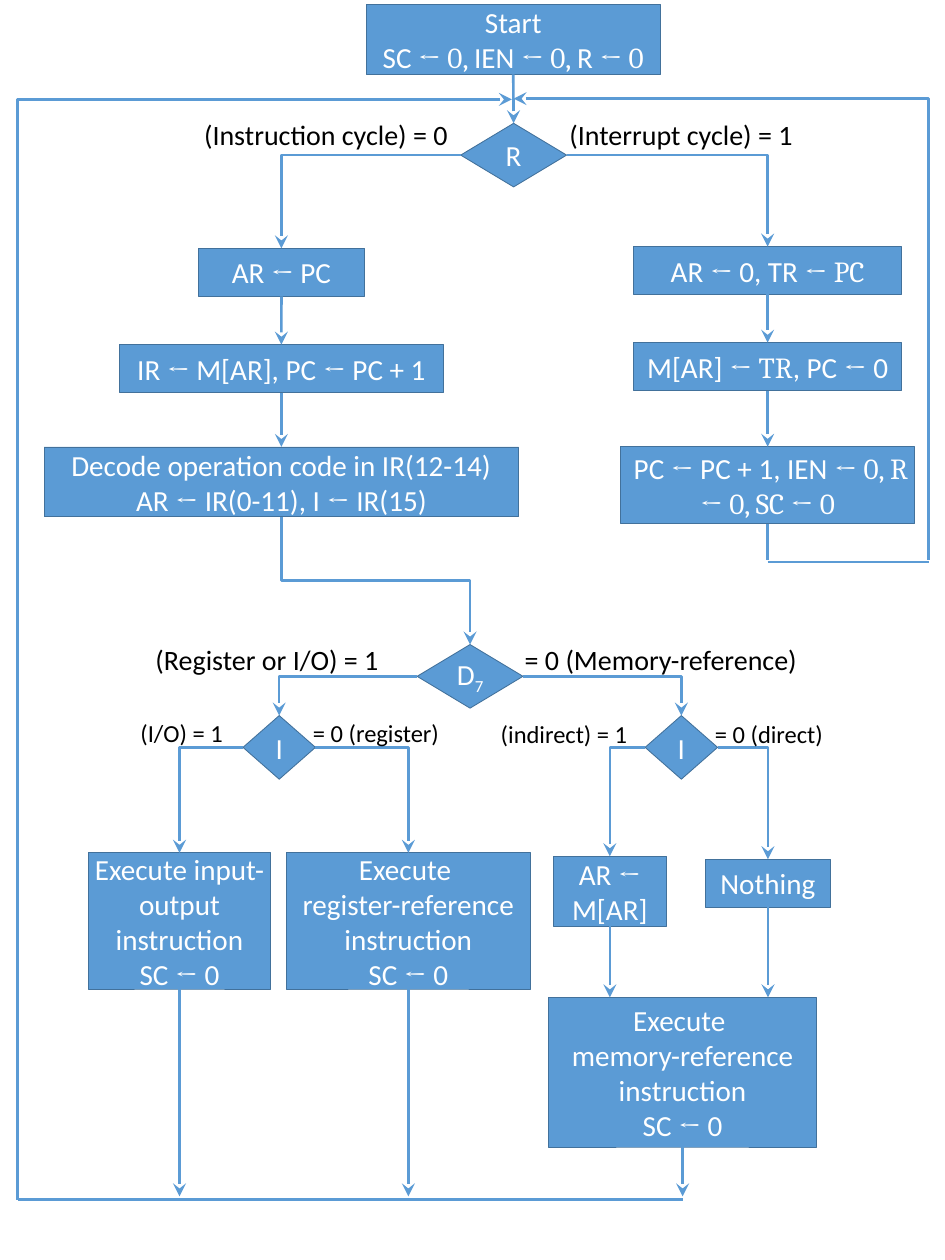
"""Draw the flowchart of a basic computer's instruction and interrupt cycles."""
from typing import NamedTuple

from lxml import etree
from pptx import Presentation, util as u
from pptx.dml.color import RGBColor
from pptx.enum import shapes, text
from pptx.oxml.ns import qn

COLOURS = {"fill": "5B9BD5", "outline": "42719B", "box_text": "FFFFFF", "label": "000000"}
FONT, SYMBOL_FONT = "Calibri", "Cambria"
TOP, LEFT, BOTTOM, RIGHT = range(4)


class Box(NamedTuple):
    """A box whose lines switch to the symbol font and back at each bar."""
    name: str
    left: float
    top: float
    width: float
    height: float
    lines: tuple[str, ...]
    kind: shapes.MSO_SHAPE = shapes.MSO_SHAPE.RECTANGLE

    def side(self, index: int) -> tuple[float, float]:
        """Return the middle of one side."""
        across = {LEFT: 0, RIGHT: self.width}.get(index, self.width / 2)
        down = {TOP: 0, BOTTOM: self.height}.get(index, self.height / 2)
        return self.left + across, self.top + down


class Label(NamedTuple):
    """A one-line condition beside a branch."""
    left: float
    top: float
    width: float
    height: float
    words: str
    size: float


DIAMOND = shapes.MSO_SHAPE.DIAMOND
CLEAR = "SC |←| 0"
BOXES = [
    Box("start", 418.5, 5, 336.2, 79.9, ("Start", "SC |← 0, |IEN |← 0, |R |← 0")),
    Box("R", 526.5, 140.9, 121, 72.7, ("R",), DIAMOND),
    Box("fetch", 226.6, 283.9, 190.1, 54.7, ("AR |← |PC",)),
    Box("increment", 136.4, 393.9, 370.4, 54.7, ("IR |← |M[AR], PC |←| PC + 1",)),
    Box("decode", 50.5, 510.8, 542.2, 79.9,
        ("Decode operation code in IR(12-14)", "AR |←| IR(0-11), I |←| IR(15)")),
    Box("save", 724.3, 281.8, 306, 54.7, ("AR |← |0, TR |← PC",)),
    Box("store", 724.3, 391.7, 306, 54.7, ("M[AR] |← TR|, PC |←| 0",)),
    Box("resume", 709.2, 510.6, 336.2, 87.8, (" PC |← |PC + 1, IEN |← 0, R ← 0, SC ← 0",)),
    Box("D7", 476.7, 736.6, 121, 72.7, ("D_7",), DIAMOND),
    Box("I input", 277.7, 817.8, 82.8, 72.7, ("I",), DIAMOND),
    Box("I indirect", 737.3, 817.8, 82.8, 72.7, ("I",), DIAMOND),
    Box("input", 100.8, 974.6, 208.8, 155.7, ("Execute input-output instruction", CLEAR)),
    Box("register", 327.6, 974.6, 278.2, 155.7,
        ("Execute ", "register-reference instruction", CLEAR)),
    Box("address", 632.2, 978.5, 129.6, 79.9, ("AR |← |M[AR]",)),
    Box("nothing", 806.4, 981.9, 142.6, 54.7, ("Nothing",)),
    Box("memory", 627.1, 1139.8, 306, 171.1,
        ("Execute ", "memory-reference instruction", CLEAR)),
]
LABELS = [
    Label(226.1, 130.3, 296.6, 46.1, "(Instruction cycle) = 0", 32),
    Label(643.7, 131, 272.2, 46.1, "(Interrupt cycle) = 1", 32),
    Label(170.6, 730.8, 272.2, 46.1, "(Register or I/O) = 1", 32),
    Label(592.6, 730.8, 329, 46.1, "= 0 (Memory-reference)", 32),
    Label(153.4, 816.5, 110.2, 41, "(I/O) = 1", 28),
    Label(350.6, 816.5, 159.8, 41, "= 0 (register)", 28),
    Label(565.2, 818.6, 160.6, 41, "(indirect) = 1", 28),
    Label(810, 818.6, 139.7, 41, "= 0 (direct)", 28),
]
STEPS = [("start", "R"), ("fetch", "increment"), ("increment", "decode"),
         ("save", "store"), ("store", "resume")]
DROPS = {"address": 1139.8, "nothing": 1139.8, "input": 1367.3, "register": 1367.3,
         "memory": 1367.3}
BRANCHES = [("R", "fetch", "save"), ("D7", "I input", "I indirect"),
            ("I input", "input", "register"), ("I indirect", "address", "nothing")]
BUS_X, BUS_Y = 20.2, 1370.9
RETURN_X, RETURN_Y = 1061.3, 642.2


def colour(name: str) -> RGBColor:
    """Return a named colour."""
    return RGBColor.from_string(COLOURS[name])


def format_paragraph(paragraph, size: float, colour_name: str) -> None:
    """Set the font the runs share."""
    paragraph.font.name = FONT
    paragraph.font.size = u.Pt(size)
    paragraph.font.color.rgb = colour(colour_name)


def draw_box(slide, box: Box):
    """Draw a box and its text."""
    shape = slide.shapes.add_shape(box.kind, *map(u.Pt, box[1:5]))
    shape.shadow.inherit = False
    shape.fill.solid()
    shape.fill.fore_color.rgb = colour("fill")
    shape.line.color.rgb = colour("outline")
    shape.line.width = u.Pt(1)
    frame = shape.text_frame
    frame.word_wrap = True
    frame.vertical_anchor = text.MSO_ANCHOR.MIDDLE
    for number, line in enumerate(box.lines):
        paragraph = frame.add_paragraph() if number else frame.paragraphs[0]
        paragraph.alignment = text.PP_ALIGN.CENTER
        format_paragraph(paragraph, 33.3, "box_text")
        for position, words in enumerate(line.split("|")):
            base, _, subscript = words.partition("_")
            run = paragraph.add_run()
            run.text = base
            if position % 2:
                run.font.name = SYMBOL_FONT
            if subscript:
                run = paragraph.add_run()
                run.text = subscript
                run.font._element.set("baseline", "-25000")
    return shape


def draw_label(slide, label: Label) -> None:
    """Draw a condition."""
    frame = slide.shapes.add_textbox(*map(u.Pt, label[:4])).text_frame
    frame.word_wrap = False
    paragraph = frame.paragraphs[0]
    paragraph.text = label.words
    format_paragraph(paragraph, label.size, "label")


def draw_line(slide, begin: tuple[float, float], end: tuple[float, float],
              arrow: str = "tailEnd", elbow: bool = False):
    """Draw a straight line, or one that runs across and then down."""
    kind = shapes.MSO_CONNECTOR.ELBOW if elbow else shapes.MSO_CONNECTOR.STRAIGHT
    connector = slide.shapes.add_connector(kind, *map(u.Pt, begin + end))
    connector.line.color.rgb = colour("fill")
    connector.line.width = u.Pt(3)
    properties = connector._element.spPr
    if elbow:
        properties.find(qn("a:prstGeom")).set("prst", "bentConnector2")
    if arrow:
        etree.SubElement(properties.find(qn("a:ln")), qn(f"a:{arrow}"),
                         type="stealth", w="lg", len="lg")
    etree.SubElement(properties, qn("a:effectLst"))
    return connector


def draw_step_down(slide, begin: tuple[float, float], end: tuple[float, float]) -> None:
    """Draw an arrow that runs down, across to the right, and down again."""
    connector = draw_line(slide, begin, end, elbow=True)
    width, height = end[1] - begin[1], end[0] - begin[0]
    connector.left = u.Pt((begin[0] + end[0] - width) / 2)
    connector.top = u.Pt((begin[1] + end[1] - height) / 2)
    connector.width, connector.height = u.Pt(width), u.Pt(height)
    connector.rotation = 270
    properties = connector._element.spPr
    frame = properties.find(qn("a:xfrm"))
    frame.set("rot", str(270 * 60000))
    frame.set("flipH", "1")
    properties.find(qn("a:prstGeom")).set("prst", "bentConnector3")


def main() -> None:
    """Build and save the slide."""
    presentation = Presentation()
    presentation.slide_width, presentation.slide_height = u.Pt(1080), u.Pt(1440)
    slide = presentation.slides.add_slide(presentation.slide_layouts[6])
    boxes = {box.name: box for box in BOXES}
    drawn = {box.name: draw_box(slide, box) for box in BOXES}

    for source, target in STEPS:
        connector = draw_line(slide, boxes[source].side(BOTTOM), boxes[target].side(TOP))
        connector.begin_connect(drawn[source], BOTTOM)
        connector.end_connect(drawn[target], TOP)
    for source, bottom in DROPS.items():
        begin = boxes[source].side(BOTTOM)
        draw_line(slide, begin, (begin[0], bottom)).begin_connect(drawn[source], BOTTOM)
    for decision, *targets in BRANCHES:
        for side, target in zip((LEFT, RIGHT), targets):
            draw_line(slide, boxes[decision].side(side), boxes[target].side(TOP), elbow=True)
    draw_step_down(slide, boxes["decode"].side(BOTTOM), boxes["D7"].side(TOP))

    merge_x = boxes["R"].side(TOP)[0]
    draw_line(slide, (boxes["memory"].side(BOTTOM)[0], BUS_Y), (BUS_X, BUS_Y), arrow="")
    draw_line(slide, (merge_x - 2, 113.6), (BUS_X, BUS_Y), arrow="headEnd", elbow=True)
    resume = boxes["resume"].side(BOTTOM)
    stem = draw_line(slide, resume, (resume[0], RETURN_Y - 2), arrow="")
    stem.begin_connect(drawn["resume"], BOTTOM)
    draw_line(slide, (resume[0], RETURN_Y), (RETURN_X, RETURN_Y), arrow="")
    draw_line(slide, (merge_x, 112.8), (RETURN_X, RETURN_Y - 2), arrow="headEnd", elbow=True)

    for label in LABELS:
        draw_label(slide, label)
    presentation.save("out.pptx")


if __name__ == "__main__":
    main()
